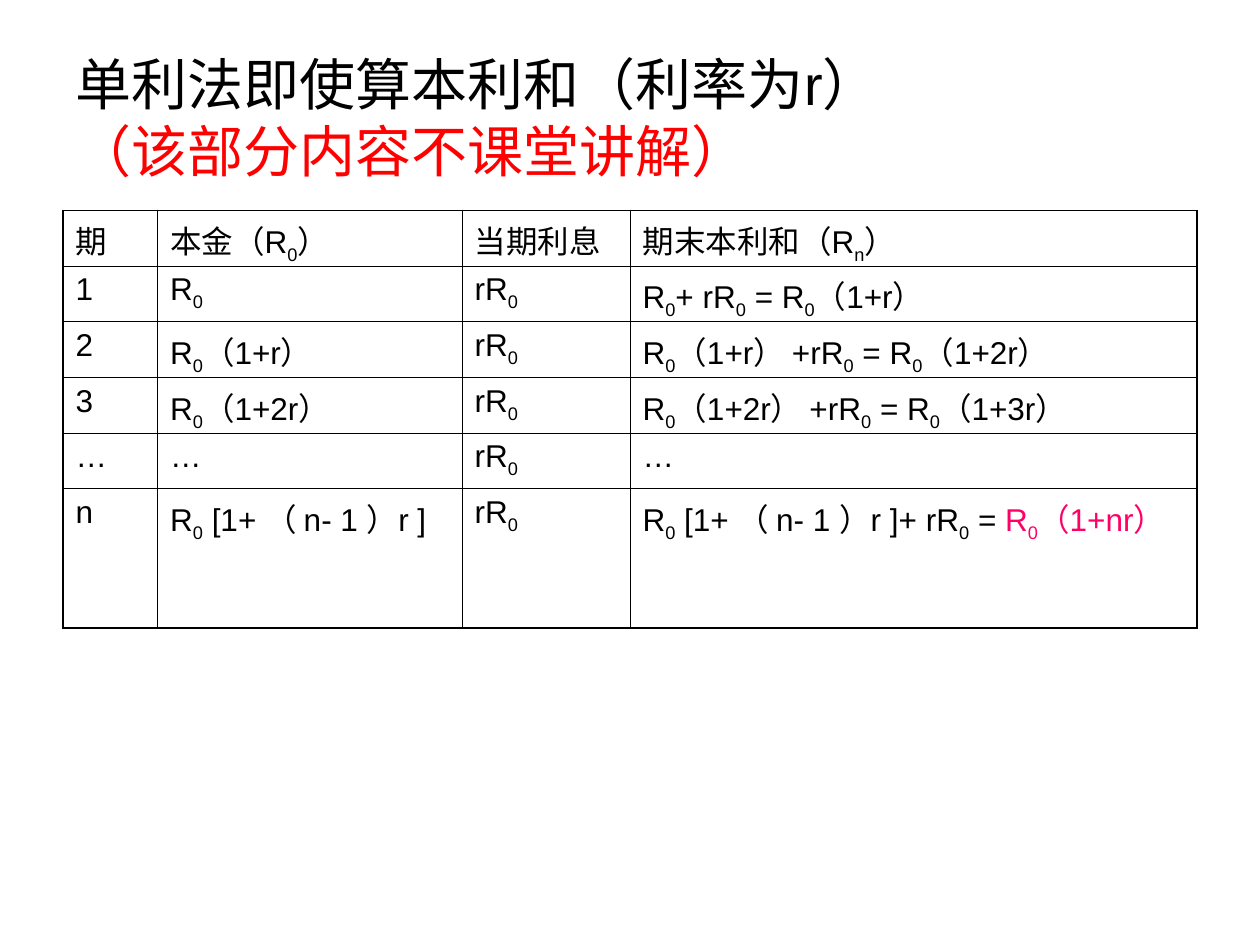
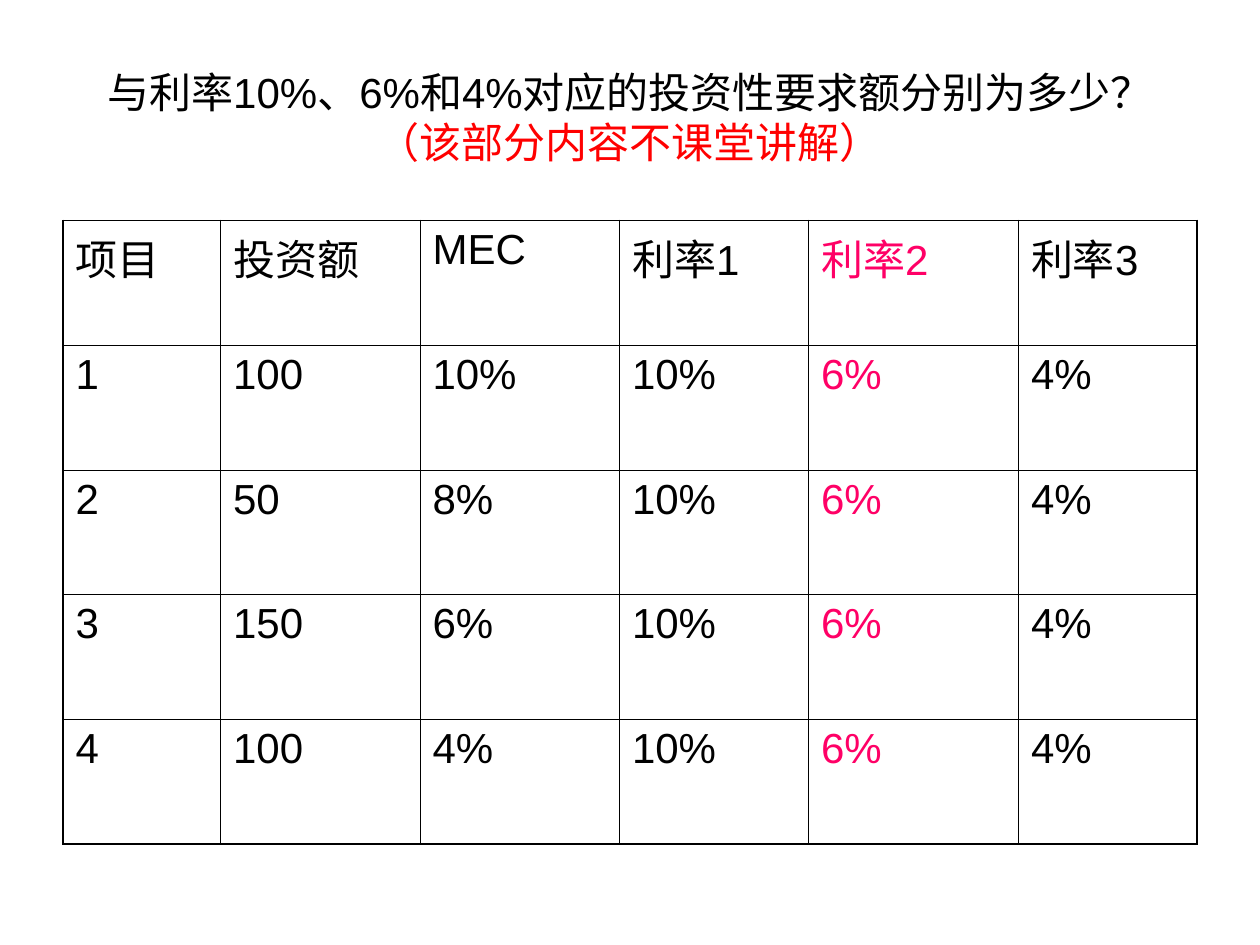
from lxml.etree import SubElement
from pptx import Presentation
from pptx.dml.color import RGBColor
from pptx.enum.lang import MSO_LANGUAGE_ID
from pptx.enum.text import MSO_ANCHOR, PP_ALIGN
from pptx.oxml import parse_xml
from pptx.oxml.ns import qn
from pptx.util import Inches, Pt

INK = {"text": "000000", "note": "FF0000", "mark": "FF0066", "line": "000000"}
FACE = {"name": "Arial", "bold": False, "language_id": MSO_LANGUAGE_ID.SIMPLIFIED_CHINESE}
FRAME = {"word_wrap": True, "vertical_anchor": MSO_ANCHOR.MIDDLE}
PLAIN = {"first_row": False, "horz_banding": False}
THIN, THICK = Pt(0.45), Pt(1.08)
NOTE = "（该部分内容不课堂讲解）"
NS = "http://schemas.openxmlformats.org/drawingml/2006/main"

deck = Presentation()
deck.slide_width, deck.slide_height = Inches(10), Inches(7.5)
WIDE, HIGH = deck.slide_width, deck.slide_height
UNIT = WIDE / 120
LEFT, SPAN = 6 * UNIT, 108 * UNIT

PAGES = [
    {
        "title": "单利法即使算本利和（利率为r）",
        "align": PP_ALIGN.LEFT,
        "head": 32,
        "body": 18,
        "top": 1.67 / 7.5,
        "cols": [9, 29, 16, 54],
        "rows": [0.44] * 5 + [1.11],
        "cells": [
            ["期", "本金（R_0）", "当期利息", "期末本利和（R_n）"],
            ["1", "R_0", "rR_0", "R_0+ rR_0 = R_0（1+r）"],
            ["2", "R_0（1+r）", "rR_0", "R_0（1+r） +rR_0 = R_0（1+2r）"],
            ["3", "R_0（1+2r）", "rR_0", "R_0（1+2r） +rR_0 = R_0（1+3r）"],
            ["…", "…", "rR_0", "…"],
            ["n", "R_0 [1+ （ n- 1 ）r ]", "rR_0",
             "R_0 [1+ （ n- 1 ）r ]+ rR_0 = |R_0（1+nr）"],
        ],
    },
    {
        "title": "与利率10%、6%和4%对应的投资性要求额分别为多少？",
        "align": PP_ALIGN.CENTER,
        "head": 24,
        "body": 24,
        "top": 1.75 / 7.5,
        "cols": [15, 19, 19, 18, 20, 17],
        "rows": [0.99] * 5,
        "cells": [["项目", "投资额", "MEC", "利率1", "|利率2", "利率3"]] + [
            [str(num), str(sum_), mec, "10%", "|6%", "4%"]
            for num, (sum_, mec) in enumerate(
                [(100, "10%"), (50, "8%"), (150, "6%"), (100, "4%")], 1)
        ],
    },
]


def write(par, text, size, tone="text", base=None):
    run = par.add_run()
    run.text = text
    for key, val in {**FACE, "size": Pt(size)}.items():
        setattr(run.font, key, val)
    run.font.color.rgb = RGBColor.from_string(INK[tone])
    if base:
        run._r.get_or_add_rPr().set("baseline", base)


def edge(cell, sides):
    props = cell._tc.get_or_add_tcPr()
    for spot, (side, thick) in enumerate(sides.items()):
        line = parse_xml(f'<a:ln{side} xmlns:a="{NS}" w="{thick}"/>')
        fill = SubElement(line, qn("a:solidFill"))
        SubElement(fill, qn("a:srgbClr"), val=INK["line"])
        props.insert(spot, line)


for page in PAGES:
    slide = deck.slides.add_slide(deck.slide_layouts[6])
    box = slide.shapes.add_textbox(int(LEFT), int(HIGH * 0.04), int(SPAN), int(HIGH / 6))
    for key, val in FRAME.items():
        setattr(box.text_frame, key, val)
    par = box.text_frame.paragraphs[0]
    par.alignment = page["align"]
    write(par, page["title"], page["head"])
    par.add_line_break()
    write(par, NOTE, page["head"], "note")

    cols, rows = page["cols"], page["rows"]
    table = slide.shapes.add_table(
        len(rows), len(cols), int(LEFT), int(HIGH * page["top"]),
        int(SPAN), Inches(sum(rows))).table
    for key, val in PLAIN.items():
        setattr(table, key, val)
    for col, share in zip(table.columns, cols):
        col.width = int(share * UNIT)
    for row, tall in zip(table.rows, rows):
        row.height = Inches(tall)

    for y, line in enumerate(page["cells"]):
        for x, text in enumerate(line):
            cell = table.cell(y, x)
            cell.fill.background()
            edge(cell, {
                "L": THICK if x == 0 else THIN,
                "R": THICK if x == len(cols) - 1 else THIN,
                "T": THICK if y == 0 else THIN,
                "B": THICK if y == len(rows) - 1 else THIN,
            })
            par = cell.text_frame.paragraphs[0]
            for tone, part in zip(["text", "mark"], text.split("|")):
                for spot, bit in enumerate(part.split("_")):
                    if spot:
                        write(par, bit[0], page["body"], tone, "-25000")
                        bit = bit[1:]
                    if bit:
                        write(par, bit, page["body"], tone)

deck.save("out.pptx")
